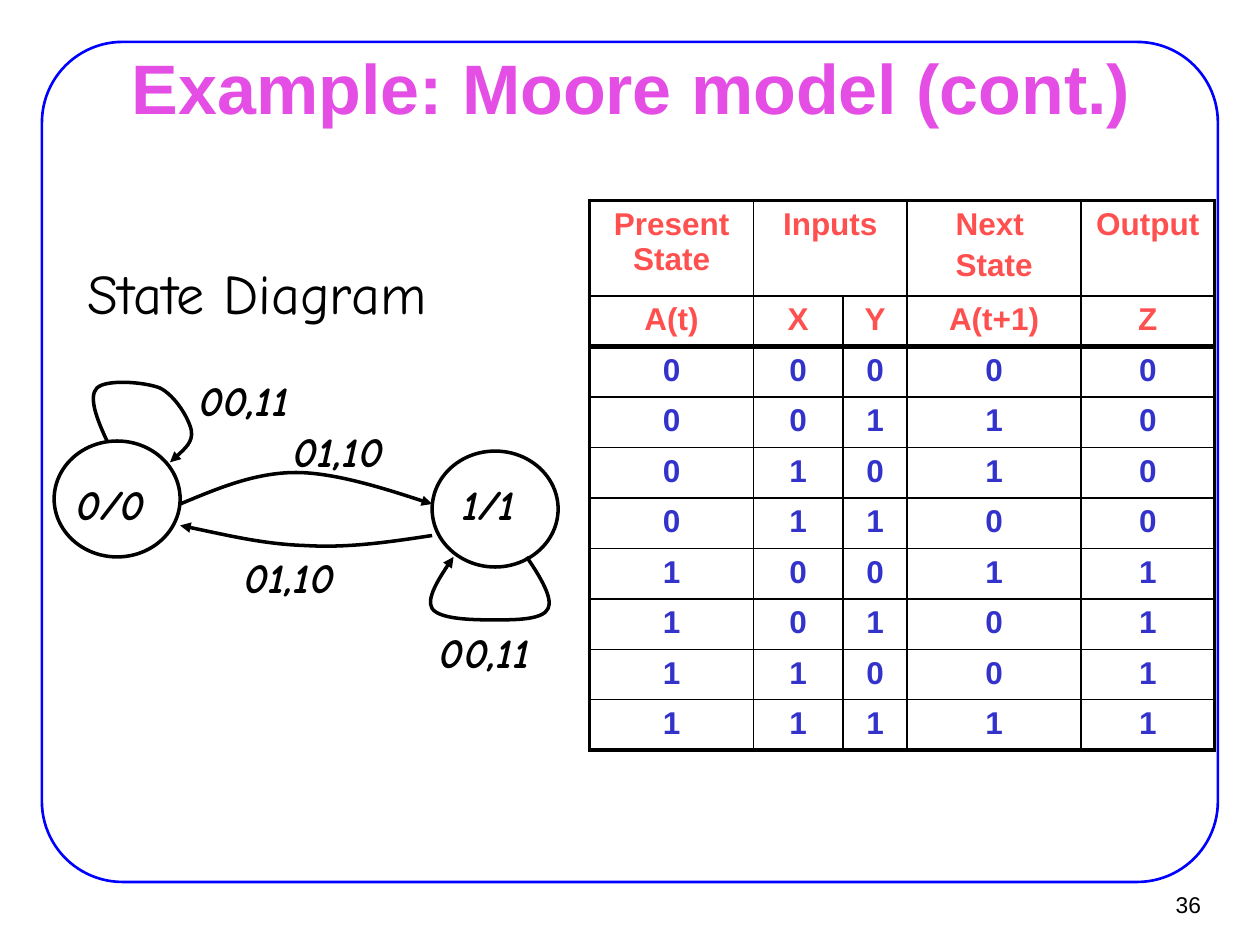
from lxml import etree
from pptx import Presentation
from pptx.dml.color import RGBColor
from pptx.enum.shapes import MSO_SHAPE
from pptx.enum.text import MSO_ANCHOR, PP_ALIGN
from pptx.oxml.ns import qn
from pptx.util import Inches, Pt

BLACK = RGBColor(0x00, 0x00, 0x00)
BLUE = RGBColor(0x00, 0x00, 0xFF)
MAGENTA = RGBColor(0xE4, 0x4E, 0xE4)
CORAL = RGBColor(0xFF, 0x50, 0x50)
INDIGO = RGBColor(0x33, 0x33, 0xCC)
LEFT, CENTER, RIGHT = PP_ALIGN.LEFT, PP_ALIGN.CENTER, PP_ALIGN.RIGHT
TOP, MIDDLE = MSO_ANCHOR.TOP, MSO_ANCHOR.MIDDLE
OVAL, ROUNDED = MSO_SHAPE.OVAL, MSO_SHAPE.ROUNDED_RECTANGLE
SANS, HAND = "Arial", "Comic Neue"
THIN, FRAME, HEADER_RULE = 1, 2.25, 3

TABLE_COLS = [13, 7.1, 5.1, 13.8, 10.6]
TABLE_ROWS = [7.6] + [4] * 9
HEADERS = [
    ["Present State", "Inputs", "", "Next \nState", "Output"],
    ["A(t)", "X", "Y", "A(t+1)", "Z"],
]
STATES = ["00000", "00110", "01010", "01100", "10011", "10101", "11001", "11111"]

STATE_NODES = [(4.3, 35), (34.3, 35.8)]
STATE_LABELS = [("0/0", 4.9), ("1/1", 34.9)]
EDGE_LABELS = [
    ("00,11", 13.6, 29.2),
    ("01,10", 21.1, 33.3),
    ("01,10", 17.2, 43.3),
    ("00,11", 32.7, 49.2),
]
# Each edge is a start point followed by three Bezier points per curve.
EDGES = [
    [(8.5, 35), (7.7, 33.3), (7, 31.5), (7.7, 30.8), (8.4, 30.1), (11.4, 30.3),
     (12.7, 30.8), (13.9, 31.4), (15, 33.2), (15.2, 34.2), (15.3, 35.1),
     (14.4, 35.9), (13.5, 36.7)],
    [(14.3, 40), (17.2, 38.8), (20.2, 37.5), (23.5, 37.5), (26.8, 37.5),
     (32.4, 39.4), (34.3, 40)],
    [(34.3, 42.5), (31, 43), (27.7, 43.5), (24.3, 43.3), (21, 43.2),
     (17.7, 42.4), (14.3, 41.7)],
    [(41.8, 44.2), (42.9, 45.8), (43.9, 47.5), (43.5, 48.3), (43.1, 49.2),
     (40.9, 49.2), (39.3, 49.2), (37.8, 49.2), (34.9, 49.2), (34.3, 48.3),
     (33.8, 47.5), (35.4, 45), (36, 44.2)],
]


class SlideBuilder:
    """Places elements on a grid of 100 columns by 75 rows, 0.1 inch each."""

    def __init__(self, slide):
        self.slide = slide

    def units(self, *values):
        return [Inches(v / 10) for v in values]

    def style(self, p, size, color, font, bold=False, italic=False, align=CENTER):
        p.alignment = align
        for r in p.runs:
            r.font.size, r.font.name = Pt(size), font
            r.font.bold, r.font.italic = bold, italic
            r.font.color.rgb = color

    def outline(self, s, color, width):
        s.shadow.inherit = False
        s.fill.background()
        s.line.color.rgb = color
        s.line.width = Pt(width)

    def shape(self, kind, box, color=BLACK, width=2):
        s = self.slide.shapes.add_shape(kind, *self.units(*box))
        self.outline(s, color, width)
        return s

    def text(self, text, box, size, color=BLACK, font=HAND, wrap=True,
             anchor=TOP, **style):
        s = self.slide.shapes.add_textbox(*self.units(*box))
        tf = s.text_frame
        tf.word_wrap = wrap
        tf.vertical_anchor = anchor
        tf.text = text
        self.style(tf.paragraphs[0], size, color, font, **style)

    def label(self, text, x, y, width):
        self.text(text, (x, y, width, 5), 24, wrap=False, bold=True, italic=True)

    def curve(self, points):
        """Draw a Bezier outline that ends in an arrowhead."""
        start, *rest = [self.units(*pt) for pt in points]
        builder = self.slide.shapes.build_freeform(*start)
        builder.add_line_segments(rest, close=False)
        s = builder.convert_to_shape()
        self.outline(s, BLACK, 2)
        lines = list(s._element.iter(qn("a:lnTo")))
        for i in range(0, len(lines), 3):
            bezier = etree.SubElement(lines[i].getparent(), qn("a:cubicBezTo"))
            for line in lines[i:i + 3]:
                bezier.append(line[0])
                line.getparent().remove(line)
        ln = s._element.spPr.find(qn("a:ln"))
        etree.SubElement(ln, qn("a:tailEnd"), type="triangle")

    def border(self, cell, side, width):
        tc_pr = cell._tc.get_or_add_tcPr()
        ln = etree.SubElement(tc_pr, qn(f"a:ln{side}"), w=str(Pt(width)))
        fill = etree.SubElement(ln, qn("a:solidFill"))
        etree.SubElement(fill, qn("a:srgbClr"), val=str(BLACK))

    def table(self, x, y, cols, rows, data, header_count):
        box = self.units(x, y, sum(cols), sum(rows))
        table = self.slide.shapes.add_table(len(rows), len(cols), *box).table
        table.first_row = table.horz_banding = False
        for col, width in zip(table.columns, self.units(*cols)):
            col.width = width
        for row, height in zip(table.rows, self.units(*rows)):
            row.height = height
        last_row, last_col = len(rows) - 1, len(cols) - 1
        for i, values in enumerate(data):
            for j, value in enumerate(values):
                cell = table.cell(i, j)
                top = {0: FRAME, header_count: HEADER_RULE}.get(i, THIN)
                bottom = {last_row: FRAME, header_count - 1: HEADER_RULE}.get(i, THIN)
                self.border(cell, "L", THIN if j else FRAME)
                self.border(cell, "R", FRAME if j == last_col else THIN)
                self.border(cell, "T", top)
                self.border(cell, "B", bottom)
                cell.fill.background()
                cell.text = value
                color = CORAL if i < header_count else INDIGO
                for n, p in enumerate(cell.text_frame.paragraphs):
                    self.style(p, 18, color, SANS, bold=True)
                    if n:
                        p.space_before = Pt(3.6)
        return table


def main():
    prs = Presentation()
    prs.slide_width, prs.slide_height = Inches(10), Inches(7.5)
    page = SlideBuilder(prs.slides.add_slide(prs.slide_layouts[6]))

    frame = page.shape(ROUNDED, (3.33, 3.33, 93.33, 66.67), BLUE, 1.5)
    frame.adjustments[0] = 0.096
    page.text("36", (90.2, 69.9, 6.1, 3.7), 13, font=SANS, wrap=False,
              anchor=MIDDLE, align=RIGHT)
    page.text("Example: Moore model (cont.)", (7.6, 4.4, 85, 4.9), 40, MAGENTA,
              SANS, anchor=MIDDLE, bold=True)
    page.text("State Diagram", (6, 20, 40, 6.3), 32, align=LEFT)

    for x, y in STATE_NODES:
        page.shape(OVAL, (x, y, 10, 9.2))
    for points in EDGES:
        page.curve(points)
    for name, x in STATE_LABELS:
        page.label(name, x, 37.5, 7.8)
    for name, x, y in EDGE_LABELS:
        page.label(name, x, y, 11.6)

    table = page.table(46.8, 15.9, TABLE_COLS, TABLE_ROWS, HEADERS + STATES,
                       len(HEADERS))
    table.cell(0, 1).merge(table.cell(0, 2))
    prs.save("out.pptx")


if __name__ == "__main__":
    main()
